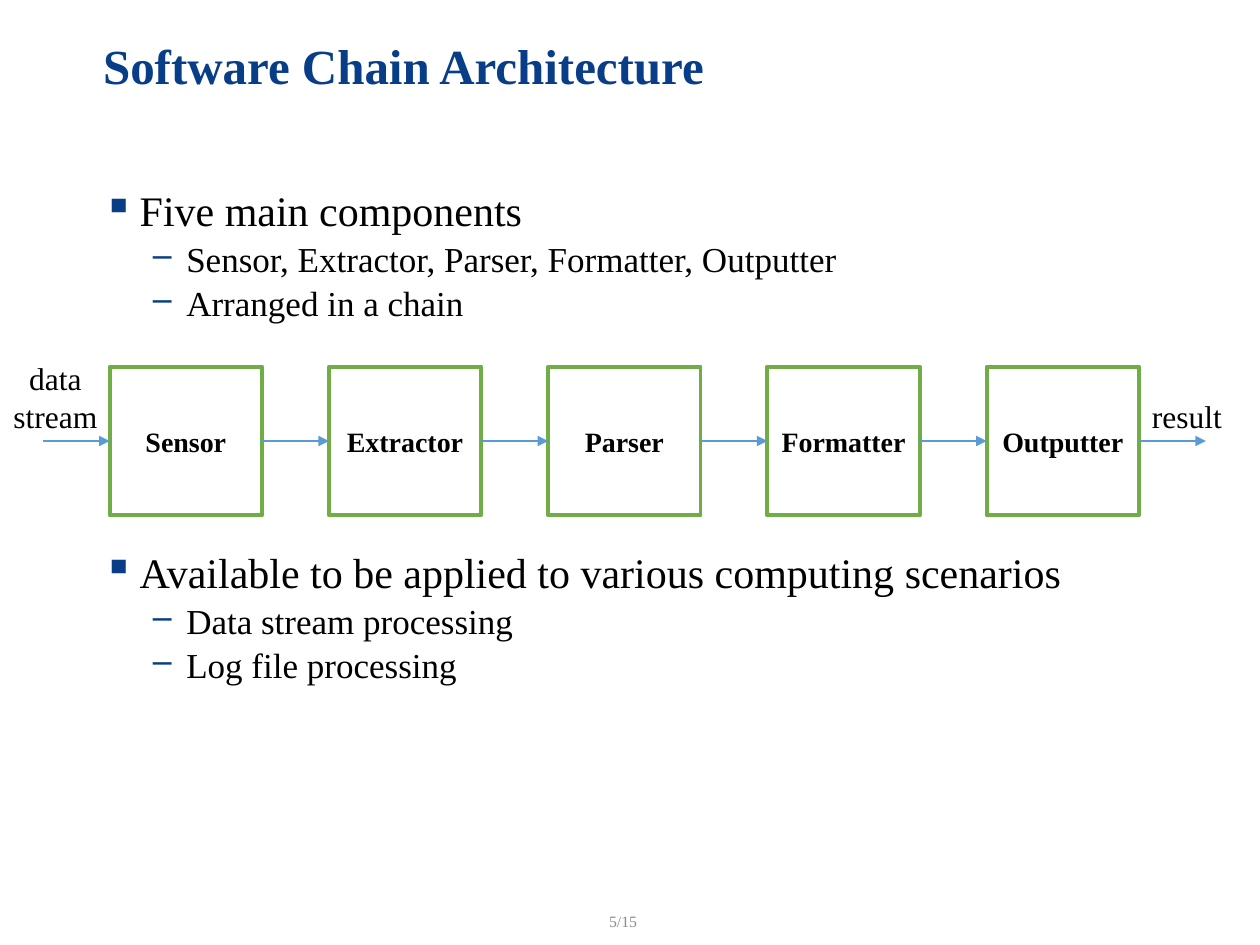
"""Build the software chain architecture slide."""
from lxml import etree
from pptx import Presentation
from pptx.dml.color import RGBColor
from pptx.enum.shapes import MSO_CONNECTOR, MSO_SHAPE
from pptx.enum.text import MSO_ANCHOR, PP_ALIGN
from pptx.oxml.ns import qn
from pptx.util import Inches, Pt

STRAIGHT = MSO_CONNECTOR.STRAIGHT
RECTANGLE = MSO_SHAPE.RECTANGLE
TOP, MIDDLE = MSO_ANCHOR.TOP, MSO_ANCHOR.MIDDLE
LEFT, CENTER = PP_ALIGN.LEFT, PP_ALIGN.CENTER

NAVY = RGBColor(0x08, 0x3E, 0x88)
BLACK = RGBColor(0x00, 0x00, 0x00)
WHITE = RGBColor(0xFF, 0xFF, 0xFF)
GRAY = RGBColor(0x8C, 0x8C, 0x8C)
GREEN = RGBColor(0x70, 0xAD, 0x47)
BLUE = RGBColor(0x5B, 0x9B, 0xD5)
FONT = "Times New Roman"

STAGES = ["Sensor", "Extractor", "Parser", "Formatter", "Outputter"]
STAGE_LEFT, STAGE_TOP, STAGE_PITCH = 0.87, 2.91, 1.74
STAGE_WIDTH, STAGE_HEIGHT = 1.21, 1.18
CHAIN_Y = STAGE_TOP + STAGE_HEIGHT / 2
ARROW_LENGTH = STAGE_PITCH - STAGE_WIDTH

# Bullet style per level: character, size, left margin, hanging indent
BULLET_STYLES = [("▪", 24, 0.29, 0.29), ("‒", 20, 0.66, 0.28)]
BULLETS = [
    (0, "Five main components", 0),
    (1, "Sensor, Extractor, Parser, Formatter, Outputter", 3.8),
    (1, "Arranged in a chain", 3.8),
    (0, "Available to be applied to various computing scenarios", 130),
    (1, "Data stream processing", 3.8),
    (1, "Log file processing", 3.8),
]


def set_font(paragraph, size, color=BLACK, bold=False):
    """Set the font of a whole paragraph."""
    font = paragraph.font
    font.name, font.size, font.bold = FONT, Pt(size), bold
    font.color.rgb = color


def add_text(slide, box, lines, size, color=BLACK, bold=False,
             align=CENTER, anchor=TOP, wrap=True):
    """Add a text box with one paragraph per line."""
    shape = slide.shapes.add_textbox(*map(Inches, box))
    frame = shape.text_frame
    frame.word_wrap = wrap
    frame.vertical_anchor = anchor
    frame.text = "\n".join(lines)
    for paragraph in frame.paragraphs:
        paragraph.alignment = align
        set_font(paragraph, size, color, bold)
    return shape


def add_bullets(slide, box, bullets):
    """Add a text box holding the two-level bullet list."""
    frame = slide.shapes.add_textbox(*map(Inches, box)).text_frame
    frame.word_wrap = True
    frame.text = "\n".join(text for _, text, _ in bullets)
    for paragraph, (level, _, space) in zip(frame.paragraphs, bullets):
        character, size, margin, hanging = BULLET_STYLES[level]
        paragraph.level = level
        paragraph.line_spacing = 0.9
        paragraph.space_before = Pt(space)
        properties = paragraph._p.get_or_add_pPr()
        properties.set("marL", str(Inches(margin)))
        properties.set("indent", str(-Inches(hanging)))
        bullet_color = etree.SubElement(properties, qn("a:buClr"))
        etree.SubElement(bullet_color, qn("a:srgbClr"), val=str(NAVY))
        etree.SubElement(properties, qn("a:buChar"), char=character)
        set_font(paragraph, size)


def add_stage(slide, left, name):
    """Add one outlined component of the chain."""
    shape = slide.shapes.add_shape(
        RECTANGLE, Inches(left), Inches(STAGE_TOP),
        Inches(STAGE_WIDTH), Inches(STAGE_HEIGHT))
    shape.shadow.inherit = False
    shape.fill.solid()
    shape.fill.fore_color.rgb = WHITE
    shape.line.color.rgb = GREEN
    shape.line.width = Pt(2.25)
    frame = shape.text_frame
    frame.vertical_anchor = MIDDLE
    frame.text = name
    paragraph = frame.paragraphs[0]
    paragraph.alignment = CENTER
    set_font(paragraph, 16, bold=True)
    return shape


def add_arrow(slide, start, source=None, target=None):
    """Add a chain arrow, joined to the stages it touches."""
    arrow = slide.shapes.add_connector(
        STRAIGHT, Inches(start), Inches(CHAIN_Y),
        Inches(start + ARROW_LENGTH), Inches(CHAIN_Y))
    if source is not None:
        arrow.begin_connect(source, 3)
    if target is not None:
        arrow.end_connect(target, 1)
    arrow.line.color.rgb = BLUE
    arrow.line.width = Pt(1.5)
    etree.SubElement(arrow.line._get_or_add_ln(), qn("a:tailEnd"), type="triangle")
    etree.SubElement(arrow._element.spPr, qn("a:effectLst"))


def add_chain(slide):
    """Add the stages and the arrows into, between and out of them."""
    stages = [add_stage(slide, STAGE_LEFT + index * STAGE_PITCH, name)
              for index, name in enumerate(STAGES)]
    links = zip([None] + stages, stages + [None])
    for index, (source, target) in enumerate(links):
        start = STAGE_LEFT - ARROW_LENGTH + index * STAGE_PITCH
        add_arrow(slide, start, source, target)


def main():
    """Build and save the presentation."""
    presentation = Presentation()
    presentation.slide_width, presentation.slide_height = Inches(10), Inches(7.5)
    slide = presentation.slides.add_slide(presentation.slide_layouts[6])
    add_bullets(slide, (0.72, 1.46, 9.08, 5.72), BULLETS)
    add_text(slide, (0.72, 0.1, 8.47, 0.83), ["Software Chain Architecture"],
             28, NAVY, bold=True, align=LEFT, anchor=MIDDLE)
    add_chain(slide)
    add_text(slide, (0, 2.8, 0.88, 0.71), ["data", "stream"], 18, wrap=False)
    add_text(slide, (9.04, 3.1, 0.76, 0.4), ["result"], 18, wrap=False)
    add_text(slide, (3.82, 7.18, 2.25, 0.27), ["5/15"], 9, GRAY, anchor=MIDDLE)
    presentation.save("out.pptx")


if __name__ == "__main__":
    main()
